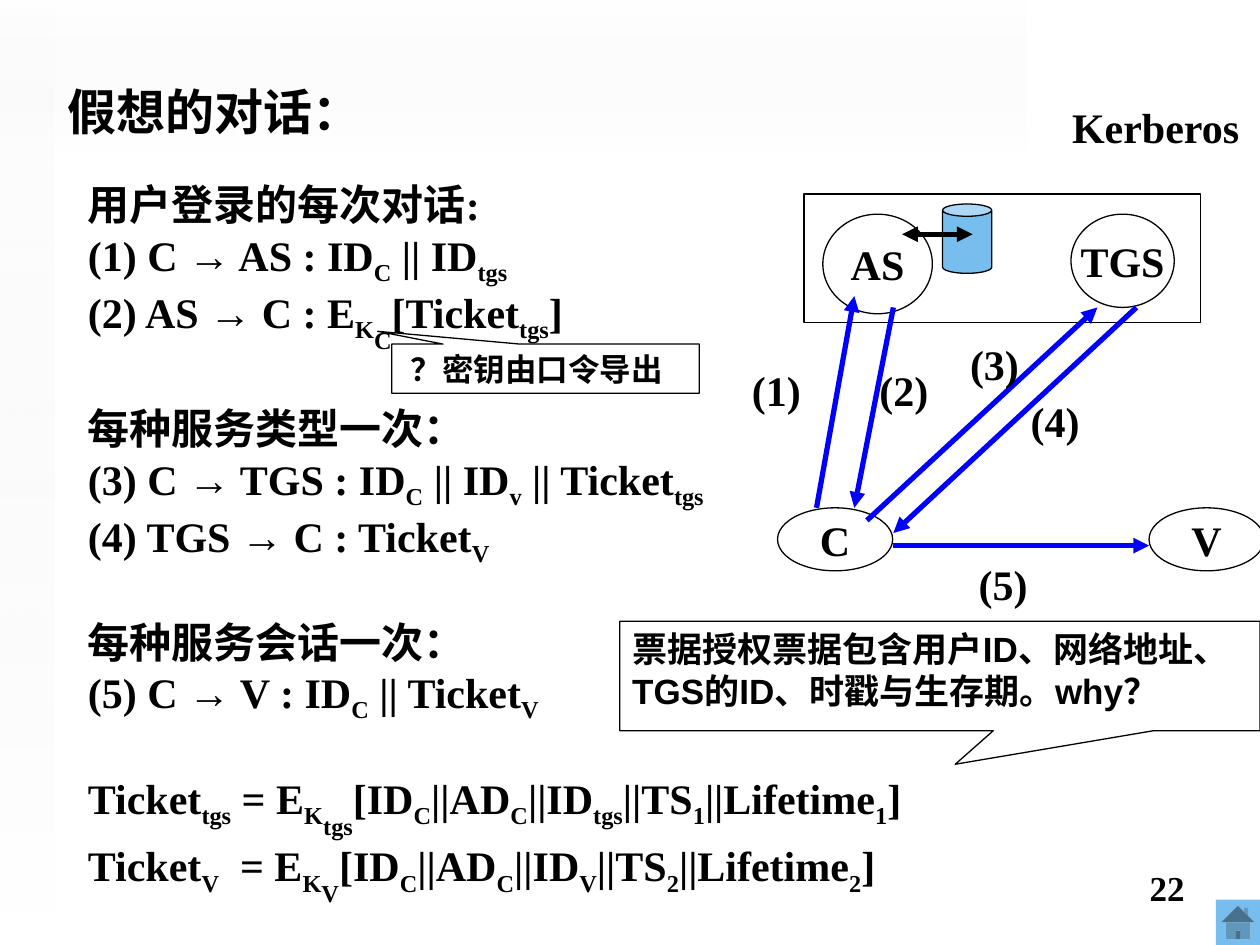
from dataclasses import dataclass
from typing import Optional

import pptx
import pptx.dml.color
import pptx.enum.shapes
import pptx.enum.text
import pptx.oxml
import pptx.oxml.ns
import pptx.util
from lxml import etree

Pt = pptx.util.Pt
Shapes = pptx.enum.shapes.MSO_SHAPE
Align = pptx.enum.text.PP_ALIGN
Anchor = pptx.enum.text.MSO_ANCHOR
AutoSize = pptx.enum.text.MSO_AUTO_SIZE
qn = pptx.oxml.ns.qn

BLACK, WHITE, BLUE, SKY = "000000", "FFFFFF", "0000FF", "77BDED"
SERIF, SANS = "Times New Roman", "Arial"
BLANK_LINE = 27.6


@dataclass
class Node:
    text: str
    left: float
    top: float
    width: float
    height: float
    fill: Optional[str] = None


@dataclass
class Label:
    text: str
    left: float
    top: float
    width: float = 42.5
    height: float = 36
    size: float = 24
    wrap: bool = False
    align: Align = Align.LEFT


@dataclass
class Arrow:
    x1: float
    y1: float
    x2: float
    y2: float
    color: str = BLUE
    both_ends: bool = False


@dataclass
class Callout:
    text: str
    left: float
    top: float
    width: float
    height: float
    tip: tuple
    size: float
    align: Align = Align.LEFT
    right_inset: float = 7.2


@dataclass
class Band:
    left: float
    top: float
    width: float
    height: float
    rotation: float
    angle: float
    opacity: int


def rgb(value: str):
    return pptx.dml.color.RGBColor.from_string(value)


def add_span(para, text: str, size: float, name: str = SERIF, baseline: int = 0) -> None:
    span = para.add_run()
    span.text = text
    for key, value in {"size": Pt(size), "name": name, "bold": True}.items():
        setattr(span.font, key, value)
    span.font.color.rgb = rgb(BLACK)
    if baseline:
        span._r.get_or_add_rPr().set("baseline", str(baseline * 1000))


def add_formula(para, line: str, size: float) -> None:
    """Underscores enclose a subscript; a caret inside lowers the rest further."""
    for index, part in enumerate(line.split("_")):
        if index % 2:
            for depth, piece in enumerate(part.split("^"), 1):
                add_span(para, piece, size, baseline=-25 * depth)
        elif part:
            before, arrow, after = part.partition("→")
            add_span(para, before, size)
            if arrow:
                add_span(para, arrow, size, SANS)
                add_span(para, after, size)


def add_panel(page, kind, left, top, width, height, fill=None, line: Optional[str] = BLACK):
    panel = page.shapes.add_shape(kind, Pt(left), Pt(top), Pt(width), Pt(height))
    panel.shadow.inherit = False
    if fill:
        panel.fill.solid()
        panel.fill.fore_color.rgb = rgb(fill)
    else:
        panel.fill.background()
    if line:
        panel.line.color.rgb = rgb(line)
        panel.line.width = Pt(0.75)
    else:
        panel.line.fill.background()
    return panel


def add_band(page, band: Band) -> None:
    panel = add_panel(page, Shapes.RECTANGLE, band.left, band.top, band.width, band.height, line=None)
    panel.rotation = band.rotation
    panel.fill.gradient()
    panel.fill.gradient_angle = band.angle
    for stop, color, place in zip(panel.fill.gradient_stops, ("EAEAEA", WHITE), (0, 1)):
        stop.color.rgb = rgb(color)
        stop.position = place
    for color, opacity in zip(panel._element.iter(qn("a:srgbClr")), (0, band.opacity)):
        etree.SubElement(color, qn("a:alpha")).set("val", str(opacity * 1000))


def add_node(page, node: Node) -> None:
    oval = add_panel(page, Shapes.OVAL, node.left, node.top, node.width, node.height, node.fill)
    frame = oval.text_frame
    frame.word_wrap = False
    frame.vertical_anchor = Anchor.MIDDLE
    frame.paragraphs[0].alignment = Align.CENTER
    add_span(frame.paragraphs[0], node.text, 24)


def add_label(page, label: Label) -> None:
    box = page.shapes.add_textbox(Pt(label.left), Pt(label.top), Pt(label.width), Pt(label.height))
    frame = box.text_frame
    frame.word_wrap = label.wrap
    frame.auto_size = AutoSize.SHAPE_TO_FIT_TEXT
    for index, line in enumerate(label.text.split("\n")):
        para = frame.add_paragraph() if index else frame.paragraphs[0]
        para.alignment = label.align
        # A tab-free leading ">" opens a new group of lines
        if line.startswith(">"):
            para.space_before = Pt(BLANK_LINE)
        add_formula(para, line.lstrip(">"), label.size)


def add_arrow(page, arrow: Arrow) -> None:
    line = page.shapes.add_connector(
        pptx.enum.shapes.MSO_CONNECTOR.STRAIGHT,
        Pt(arrow.x1), Pt(arrow.y1), Pt(arrow.x2), Pt(arrow.y2))
    line.line.color.rgb = rgb(arrow.color)
    line.line.width = Pt(3)
    stroke = line.line._get_or_add_ln()
    for end in ("a:headEnd", "a:tailEnd") if arrow.both_ends else ("a:tailEnd",):
        etree.SubElement(stroke, qn(end)).set("type", "triangle")
    etree.SubElement(line._element.spPr, qn("a:effectLst"))


def add_callout(page, note: Callout) -> None:
    panel = add_panel(page, Shapes.RECTANGULAR_CALLOUT, note.left, note.top,
                      note.width, note.height, WHITE)
    panel.adjustments[0], panel.adjustments[1] = note.tip
    frame = panel.text_frame
    frame.word_wrap = True
    frame.vertical_anchor = Anchor.TOP
    frame.margin_right = Pt(note.right_inset)
    frame.paragraphs[0].alignment = note.align
    add_span(frame.paragraphs[0], note.text, note.size, SANS)


DIALOGUE = """用户登录的每次对话:
(1) C → AS : ID_C_ || ID_tgs_
(2) AS → C : E_K^C_[Ticket_tgs_]
>每种服务类型一次：
(3) C → TGS : ID_C_ || ID_v_ || Ticket_tgs_
(4) TGS → C : Ticket_V_
>每种服务会话一次：
(5) C → V : ID_C_ || Ticket_V_
>Ticket_tgs_ = E_K^tgs_[ID_C_||AD_C_||ID_tgs_||TS_1_||Lifetime_1_]
Ticket_V_  = E_K^V_[ID_C_||AD_C_||ID_V_||TS_2_||Lifetime_2_]"""

BANDS = [Band(249.1, -249.1, 88.6, 586.8, 90, 0, 49), Band(0, 0, 31, 522.7, 180, 90, 65)]
NODES = [
    Node("C", 444.3, 290.2, 65.8, 36, WHITE),
    Node("V", 656.6, 290.2, 65.8, 36, WHITE),
    Node("AS", 470.2, 122.4, 62.6, 56.9),
    Node("TGS", 612, 122.4, 59, 53.3),
]
ARROWS = [
    Arrow(466.6, 290.2, 488.2, 169.2),
    Arrow(510.5, 175.7, 488.2, 290.2),
    Arrow(510.5, 311.8, 656.6, 311.8),
    Arrow(495.4, 297.4, 627.1, 175.7),
    Arrow(649.4, 175.7, 510.5, 304.6),
]
LABELS = [
    Label("(1)", 422.6, 204.5),
    Label("(2)", 495.4, 204.5),
    Label("(3)", 547.2, 190.1),
    Label("(4)", 581.8, 222.5),
    Label("(5)", 552.2, 315.4),
    Label("Kerberos", 605.5, 54.7, 145.4, wrap=True),
    Label("22", 516.2, 491.8, 167.8, 37.4, 20, True, Align.RIGHT),
]
CALLOUTS = [
    Callout("？密钥由口令导出", 223.9, 196.6, 175.7, 28.1, (-0.546, -0.76), 18, Align.CENTER, 17.2),
    Callout("票据授权票据包含用户ID、网络地址、TGS的ID、时戳与生存期。why？",
            354.2, 355, 365.8, 62.6, (0.024, 0.806), 20),
]


def main() -> None:
    deck = pptx.Presentation()
    deck.slide_width, deck.slide_height = Pt(720), Pt(540)
    page = deck.slides.add_slide(deck.slide_layouts[6])

    # Background bands and home button
    for band in BANDS:
        add_band(page, band)
    add_panel(page, Shapes.ACTION_BUTTON_HOME, 694.8, 514.1, 25.2, 25.9, SKY, None)

    # Title and dialogue
    add_label(page, Label("假想的对话：", 31.7, 43.2, 182.2, 41, 28))
    add_label(page, Label(DIALOGUE, 43.2, 98.6, 479.5, 427.7))

    # Message diagram
    add_panel(page, Shapes.RECTANGLE, 459.4, 110.9, 226.8, 73.4, WHITE)
    for node in NODES:
        add_node(page, node)
    for arrow in ARROWS:
        add_arrow(page, arrow)
    for label in LABELS:
        add_label(page, label)

    # Key database beside AS
    add_panel(page, Shapes.CAN, 538.6, 116.6, 28.1, 39.6, SKY)
    add_arrow(page, Arrow(515.5, 133.9, 555.8, 133.9, BLACK, True))

    # Remarks
    for note in CALLOUTS:
        add_callout(page, note)

    deck.save("out.pptx")


if __name__ == "__main__":
    main()
